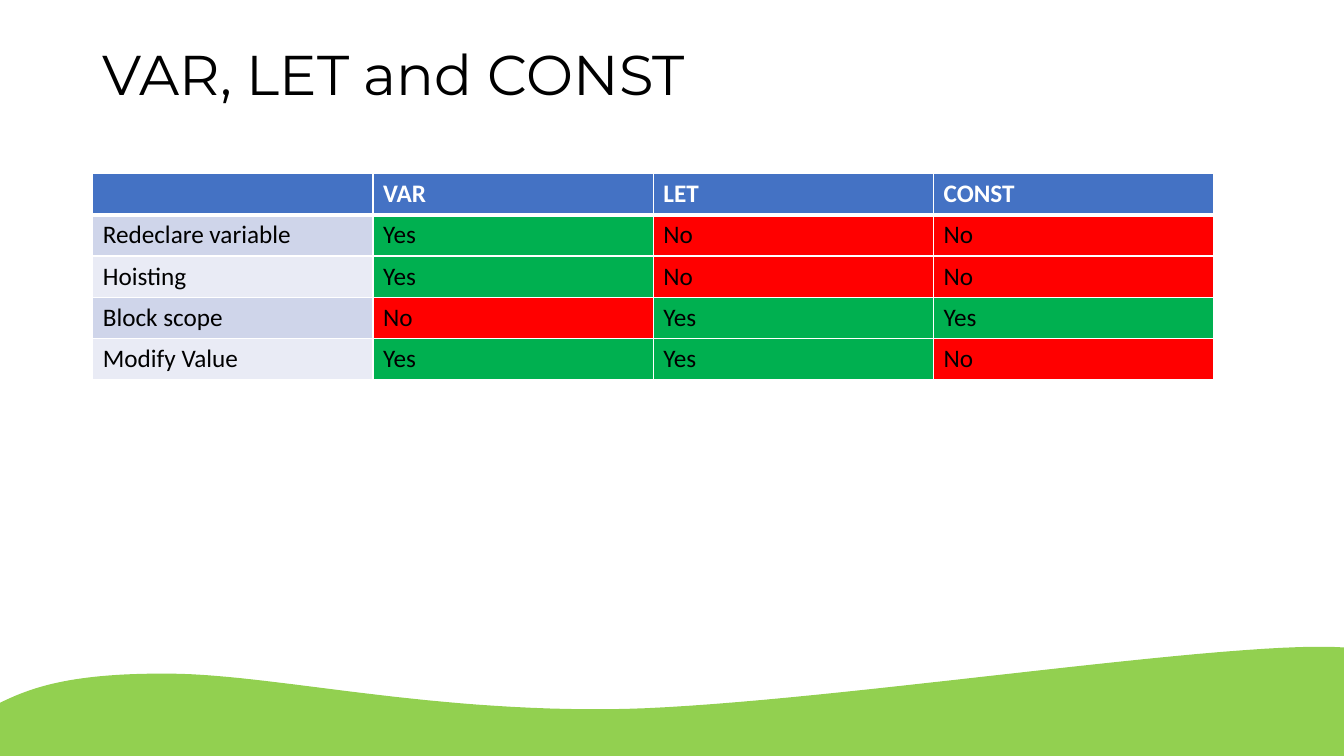
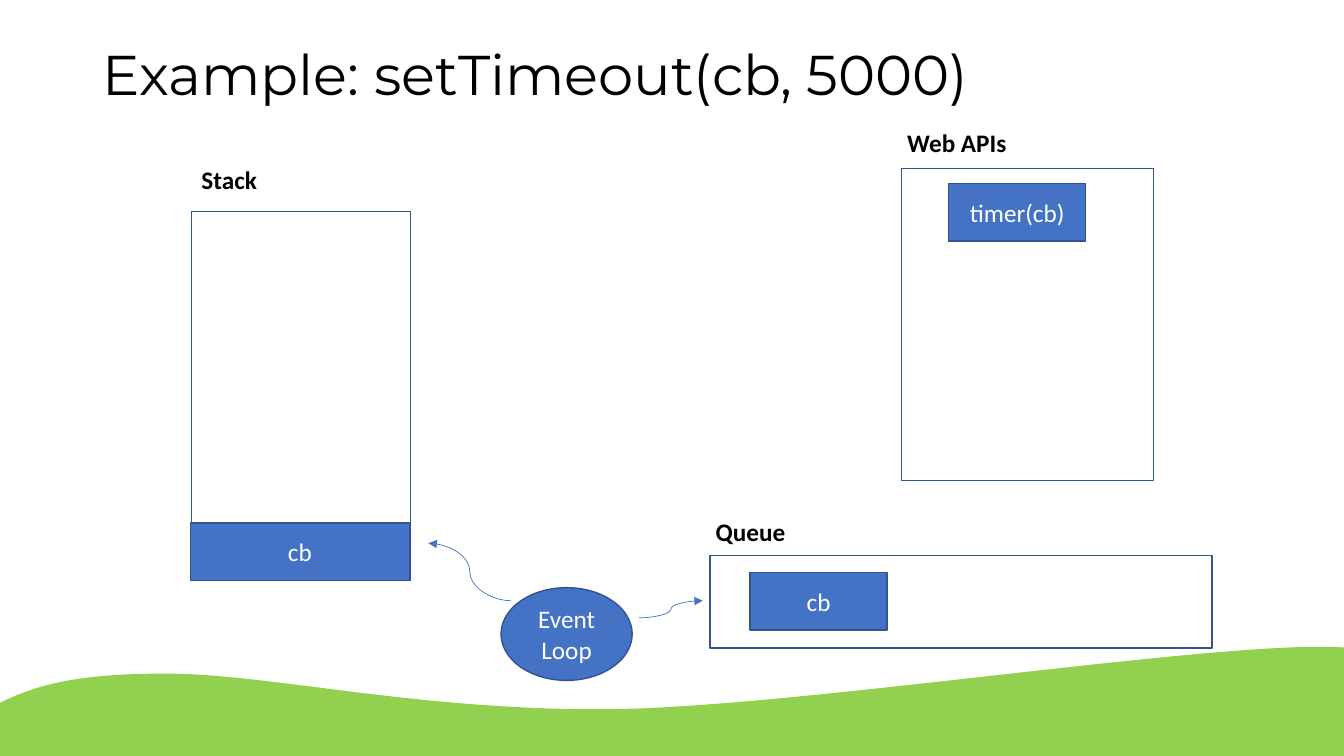
from dataclasses import dataclass

from lxml import etree
from pptx import Presentation
from pptx.dml.color import RGBColor
from pptx.enum.shapes import MSO_CONNECTOR, MSO_SHAPE
from pptx.enum.text import MSO_ANCHOR, PP_ALIGN
from pptx.oxml.ns import qn
from pptx.util import Inches, Pt

RECT = MSO_SHAPE.RECTANGLE
OVAL = MSO_SHAPE.OVAL
CURVE = MSO_CONNECTOR.CURVE
MIDDLE = MSO_ANCHOR.MIDDLE
CENTER = PP_ALIGN.CENTER


@dataclass(frozen=True)
class Theme:
    width: float = 13.33
    height: float = 7.5
    title_font: str = "Montserrat"
    body_font: str = "Calibri"
    title_size: int = 40
    body_size: int = 18
    black: str = "000000"
    white: str = "FFFFFF"
    blue: str = "4472C4"
    outline: str = "325491"
    wave: str = "92D050"
    yes: str = "00B050"
    no: str = "FF0000"
    bands: tuple = ("CFD5EA", "E9EBF5")


THEME = Theme()
WAVE_START = (0, 6.98)
WAVE_CURVES = [
    ((0.29, 6.84), (0.67, 6.68), (1.7, 6.69)),
    ((2.73, 6.7), (4.26, 7.08), (6.2, 7.04)),
    ((8.14, 6.99), (12.16, 6.35), (THEME.width, 6.43)),
]
WAVE_STEPS = 30

FEATURES = [
    ("", "VAR", "LET", "CONST"),
    ("Redeclare variable", "Yes", "No", "No"),
    ("Hoisting", "Yes", "No", "No"),
    ("Block scope", "No", "Yes", "Yes"),
    ("Modify Value", "Yes", "Yes", "No"),
]


def rgb(color):
    return RGBColor.from_string(color)


def style_text(tf, color, size=THEME.body_size, font=THEME.body_font, bold=False):
    for p in tf.paragraphs:
        for r in p.runs:
            r.font.name = font
            r.font.size = Pt(size)
            r.font.bold = bold
            r.font.color.rgb = rgb(color)


def paint(sp, fill, line):
    sp.shadow.inherit = False
    if fill:
        sp.fill.solid()
        sp.fill.fore_color.rgb = rgb(fill)
    else:
        sp.fill.background()
    sp.line.color.rgb = rgb(line)
    sp.line.width = Pt(1)


def bezier(p0, p1, p2, p3, t):
    u = 1 - t
    return tuple(
        u**3 * a + 3 * u * u * t * b + 3 * u * t * t * c + t**3 * d
        for a, b, c, d in zip(p0, p1, p2, p3)
    )


def add_wave(s):
    points = []
    start = WAVE_START
    for c1, c2, end in WAVE_CURVES:
        points += [bezier(start, c1, c2, end, i / WAVE_STEPS)
                   for i in range(1, WAVE_STEPS + 1)]
        start = end
    points += [(THEME.width, THEME.height), (0, THEME.height)]
    builder = s.shapes.build_freeform(*map(Inches, WAVE_START))
    builder.add_line_segments([(Inches(x), Inches(y)) for x, y in points], close=True)
    paint(builder.convert_to_shape(), THEME.wave, THEME.wave)


def add_title(s, text):
    sp = s.shapes.add_textbox(Inches(0.92), Inches(0.25), Inches(10.83), Inches(1.03))
    tf = sp.text_frame
    tf.word_wrap = True
    tf.vertical_anchor = MIDDLE
    tf.text = text
    tf.paragraphs[0].line_spacing = 0.9
    style_text(tf, THEME.black, THEME.title_size, THEME.title_font)


def add_base_slide(prs, title):
    s = prs.slides.add_slide(prs.slide_layouts[6])
    add_wave(s)
    add_title(s, title)
    return s


def add_label(s, text, x, y, w):
    tf = s.shapes.add_textbox(Inches(x), Inches(y), Inches(w), Inches(0.4)).text_frame
    tf.word_wrap = False
    tf.text = text
    style_text(tf, THEME.black, bold=True)


def add_node(s, x, y, w, h, text="", fill=None, kind=RECT):
    sp = s.shapes.add_shape(kind, Inches(x), Inches(y), Inches(w), Inches(h))
    paint(sp, fill, THEME.outline)
    if text:
        tf = sp.text_frame
        tf.word_wrap = True
        tf.vertical_anchor = MIDDLE
        tf.text = text
        tf.paragraphs[0].alignment = CENTER
        style_text(tf, THEME.white)


def add_curved_arrow(s, start, end):
    cxn = s.shapes.add_connector(CURVE, *map(Inches, start + end))
    cxn.line.color.rgb = rgb(THEME.blue)
    cxn.line.width = Pt(0.5)
    etree.SubElement(cxn.line._get_or_add_ln(), qn("a:tailEnd"), type="triangle")
    etree.SubElement(cxn._element.spPr, qn("a:effectLst"))


def set_borders(cell, top, bottom):
    tcPr = cell._tc.get_or_add_tcPr()
    edges = (("lnL", 1), ("lnR", 1), ("lnT", top), ("lnB", bottom))
    for i, (tag, width) in enumerate(edges):
        ln = etree.Element(qn(f"a:{tag}"), w=str(Pt(width)))
        fill = etree.SubElement(ln, qn("a:solidFill"))
        etree.SubElement(fill, qn("a:srgbClr"), val=THEME.white)
        tcPr.insert(i, ln)


def cell_fill(row, text):
    if row == 0:
        return THEME.blue
    answers = {"Yes": THEME.yes, "No": THEME.no}
    return answers.get(text, THEME.bands[(row - 1) % 2])


def add_feature_table(s, rows, x, y, col_w, row_h):
    n_rows, n_cols = len(rows), len(rows[0])
    table = s.shapes.add_table(n_rows, n_cols, Inches(x), Inches(y),
                               Inches(col_w * n_cols), Inches(row_h * n_rows)).table
    for i, values in enumerate(rows):
        header = i == 0
        for j, text in enumerate(values):
            cell = table.cell(i, j)
            cell.text = text
            cell.fill.solid()
            cell.fill.fore_color.rgb = rgb(cell_fill(i, text))
            style_text(cell.text_frame, THEME.white if header else THEME.black, bold=header)
            set_borders(cell, top=3 if i == 1 else 1, bottom=3 if header else 1)


def add_comparison_slide(prs):
    s = add_base_slide(prs, "VAR, LET and CONST")
    add_feature_table(s, FEATURES, 0.92, 1.72, 2.78, 0.41)


def add_event_loop_slide(prs):
    s = add_base_slide(prs, "Example: setTimeout(cb, 5000)")

    add_label(s, "Stack", 1.9, 1.58, 0.76)
    add_node(s, 1.9, 2.1, 2.17, 3.66)
    add_node(s, 1.89, 5.19, 2.17, 0.57, "cb", THEME.blue)

    add_label(s, "Web APIs", 8.9, 1.21, 1.2)
    add_node(s, 8.94, 1.67, 2.5, 3.1)
    add_node(s, 9.41, 1.82, 1.36, 0.57, "timer(cb)", THEME.blue)

    add_label(s, "Queue", 7, 5.07, 0.89)
    add_node(s, 7.04, 5.51, 4.98, 0.92)
    add_node(s, 7.44, 5.68, 1.36, 0.57, "cb", THEME.blue)

    add_node(s, 4.97, 5.83, 1.3, 0.92, "Event Loop", THEME.blue, OVAL)
    add_curved_arrow(s, (6.34, 6.13), (6.97, 5.96))
    add_curved_arrow(s, (5.07, 5.96), (4.25, 5.39))


def main():
    prs = Presentation()
    prs.slide_width = Inches(THEME.width)
    prs.slide_height = Inches(THEME.height)
    add_comparison_slide(prs)
    add_event_loop_slide(prs)
    prs.save("out.pptx")


main()
